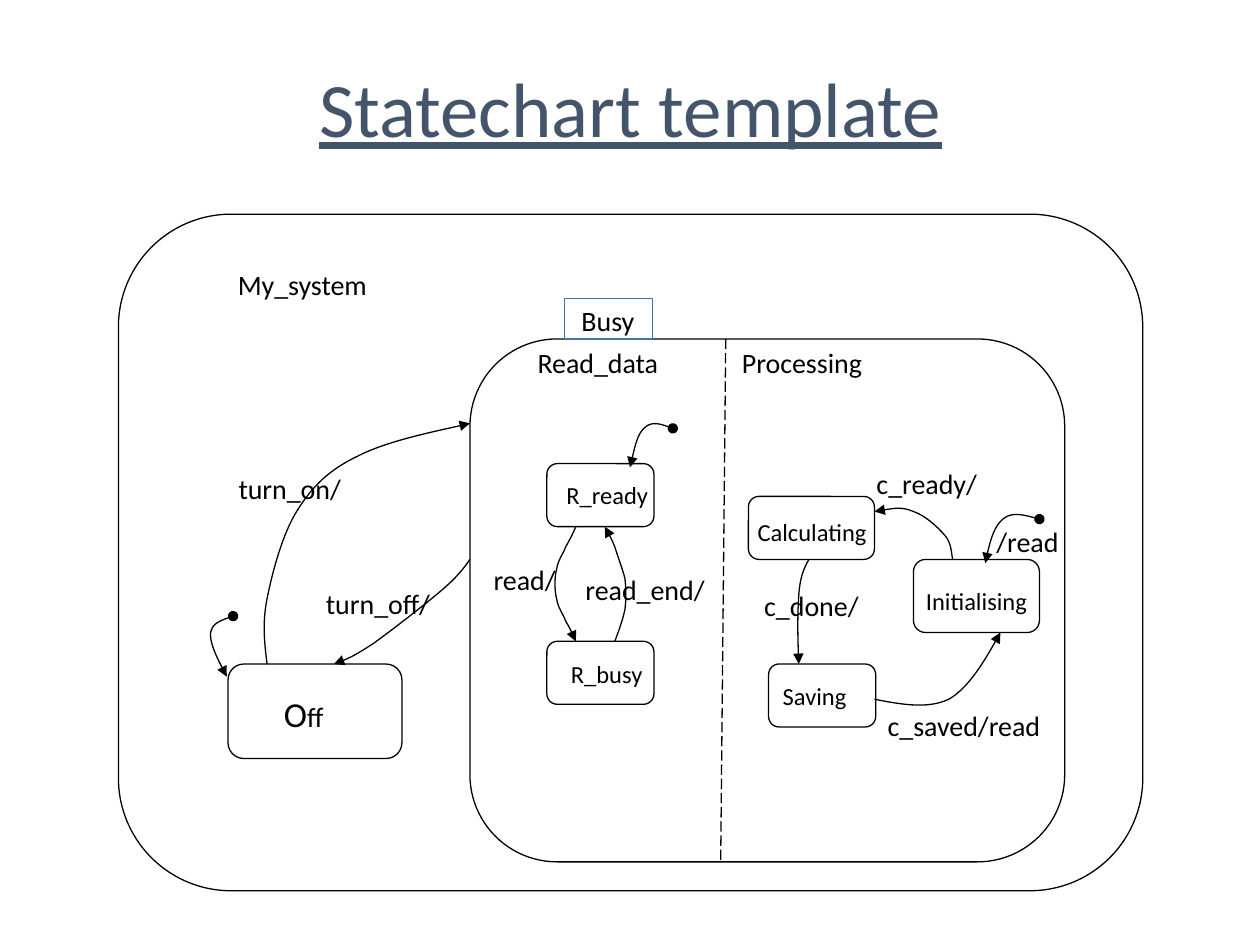
from dataclasses import dataclass

from lxml.etree import SubElement
from pptx import Presentation
from pptx.dml.color import RGBColor
from pptx.enum.dml import MSO_LINE
from pptx.enum.shapes import MSO_CONNECTOR, MSO_SHAPE
from pptx.enum.text import MSO_ANCHOR, MSO_AUTO_SIZE, PP_ALIGN
from pptx.oxml.ns import qn
from pptx.util import Inches, Pt

COLORS = {"ink": "000000", "title": "44546A", "tab": "43739E"}
FONT = "Calibri"


@dataclass
class State:
    left: float
    top: float
    width: float
    height: float


@dataclass
class Label:
    text: str
    left: float
    top: float
    width: float
    size: int = 16


@dataclass
class Transition:
    points: list[tuple[float, float]]
    initial: bool = False


STATES = [
    State(0.94, 1.7, 8.13, 5.37),
    State(1.81, 5.27, 1.38, 0.75),
    State(3.73, 2.69, 4.72, 4.15),
    State(5.94, 3.94, 1, 0.5),
    State(6.1, 5.27, 0.85, 0.5),
    State(4.34, 3.68, 0.85, 0.5),
    State(4.34, 5.09, 0.85, 0.5),
    State(7.25, 4.44, 1, 0.58),
]

LABELS = [
    Label("My_system", 1.75, 2.07, 1.3),
    Label("Busy", 4.49, 2.36, 0.67),
    Label("Read_data", 4.12, 2.69, 1.25),
    Label("Processing", 5.74, 2.69, 1.25),
    Label("R_ready", 4.36, 3.76, 0.92, 14),
    Label("R_busy", 4.4, 5.18, 0.83, 14),
    Label("Calculating", 5.87, 4.05, 1.15, 14),
    Label("Saving", 6.08, 5.35, 0.77, 14),
    Label("Initialising", 7.21, 4.6, 1.08, 14),
    Label("turn_on/", 1.77, 3.69, 1.06),
    Label("turn_off/", 2.46, 4.6, 1.08),
    Label("read/", 3.8, 4.41, 0.73),
    Label("read_end/", 4.54, 4.49, 1.16),
    Label("c_ready/", 6.82, 3.65, 1.07),
    Label("c_done/", 5.94, 4.62, 1),
    Label("c_saved/read", 6.89, 5.57, 1.52),
    Label("/read", 7.79, 4.11, 0.73),
]

TRANSITIONS = [
    Transition([(3.73, 4.44), (3.68, 4.51), (3.63, 4.58), (3.5, 4.69), (3.37, 4.8),
                (3.1, 5.01), (2.96, 5.11), (2.82, 5.2), (2.74, 5.24), (2.65, 5.27)]),
    Transition([(2.12, 5.27), (2.1, 5.11), (2.08, 4.95), (2.12, 4.75), (2.16, 4.55),
                (2.24, 4.24), (2.36, 4.05), (2.48, 3.86), (2.61, 3.73), (2.84, 3.62),
                (3.07, 3.5), (3.57, 3.4), (3.73, 3.36)]),
    Transition([(7.56, 4.44), (7.55, 4.38), (7.55, 4.31), (7.5, 4.25), (7.44, 4.18),
                (7.34, 4.09), (7.25, 4.06), (7.16, 4.02), (7.05, 4.04), (6.94, 4.06)]),
    Transition([(6.42, 4.44), (6.38, 4.51), (6.35, 4.58), (6.34, 4.72), (6.33, 4.86),
                (6.33, 5.07), (6.34, 5.27)]),
    Transition([(6.94, 5.55), (7.15, 5.59), (7.36, 5.63), (7.53, 5.55), (7.69, 5.46),
                (7.87, 5.15), (7.94, 5.02)]),
    Transition([(4.57, 4.18), (4.55, 4.23), (4.52, 4.29), (4.49, 4.34), (4.47, 4.4),
                (4.43, 4.44), (4.42, 4.51), (4.4, 4.58), (4.4, 4.69), (4.42, 4.76),
                (4.43, 4.83), (4.47, 4.87), (4.49, 4.93), (4.52, 4.98), (4.55, 5.04),
                (4.57, 5.09)]),
    Transition([(4.88, 5.09), (4.91, 5.01), (4.94, 4.93), (4.96, 4.84), (4.97, 4.76),
                (4.97, 4.68), (4.96, 4.59), (4.94, 4.51), (4.9, 4.41), (4.88, 4.34),
                (4.85, 4.27), (4.83, 4.23), (4.8, 4.18)]),
    Transition([(5.34, 3.4), (5.26, 3.37), (5.17, 3.34), (5.11, 3.4), (5.06, 3.45),
                (5.03, 3.58), (5, 3.71)], True),
    Transition([(8.25, 4.12), (8.14, 4.09), (8.03, 4.06), (7.96, 4.12), (7.89, 4.18),
                (7.85, 4.32), (7.82, 4.47)], True),
    Transition([(1.85, 4.89), (1.76, 4.92), (1.68, 4.95), (1.67, 5.03), (1.67, 5.11),
                (1.73, 5.24), (1.8, 5.37)], True),
]


def outline(s, color: str = "ink", width: float = 0.75) -> None:
    s.line.color.rgb = RGBColor.from_string(COLORS[color])
    s.line.width = Pt(width)


def add_box(slide, kind, box: State, color: str = "ink", width: float = 0.75) -> None:
    s = slide.shapes.add_shape(kind, Inches(box.left), Inches(box.top),
                               Inches(box.width), Inches(box.height))
    s.shadow.inherit = False
    s.fill.background()
    outline(s, color, width)


def style_run(r, size: int, color: str = "ink") -> None:
    r.font.name = FONT
    r.font.size = Pt(size)
    r.font.color.rgb = RGBColor.from_string(COLORS[color])


def add_text(slide, label: Label, height: float, color: str = "ink"):
    s = slide.shapes.add_textbox(Inches(label.left), Inches(label.top),
                                 Inches(label.width), Inches(height))
    tf = s.text_frame
    tf.text = label.text
    tf.vertical_anchor = MSO_ANCHOR.MIDDLE
    tf.word_wrap = False
    p = tf.paragraphs[0]
    p.alignment = PP_ALIGN.CENTER
    style_run(p.runs[0], label.size, color)
    return tf


def add_label(slide, label: Label) -> None:
    tf = add_text(slide, label, 0.37 if label.size == 16 else 0.34)
    tf.auto_size = MSO_AUTO_SIZE.SHAPE_TO_FIT_TEXT


def add_transition(slide, transition: Transition) -> None:
    points = [(Inches(x), Inches(y)) for x, y in transition.points]
    builder = slide.shapes.build_freeform(*points[0])
    builder.add_line_segments(points[1:], close=False)
    s = builder.convert_to_shape()
    s.shadow.inherit = False
    s.fill.background()
    outline(s)
    outline_path = next(s._element.iter(qn("a:path")))
    segments = outline_path.findall(qn("a:lnTo"))
    for i in range(0, len(segments), 3):
        curve = SubElement(outline_path, qn("a:cubicBezTo"))
        for segment in segments[i:i + 3]:
            curve.append(segment[0])
            outline_path.remove(segment)
    ln = s.line._get_or_add_ln()
    if transition.initial:
        SubElement(ln, qn("a:headEnd"), type="oval")
    SubElement(ln, qn("a:tailEnd"), type="triangle")


prs = Presentation()
prs.slide_width, prs.slide_height = Inches(10), Inches(7.5)
slide = prs.slides.add_slide(prs.slide_layouts[6])

title = add_text(slide, Label("Statechart template", 1.98, 0.4, 6.05, 44), 0.99, "title")
title.word_wrap = True
title.paragraphs[0].line_spacing = 0.9
title.paragraphs[0].runs[0].font.underline = True

for state in STATES:
    add_box(slide, MSO_SHAPE.ROUNDED_RECTANGLE, state)
add_box(slide, MSO_SHAPE.RECTANGLE, State(4.48, 2.37, 0.7, 0.32), "tab", 1)

divider = slide.shapes.add_connector(MSO_CONNECTOR.STRAIGHT, Inches(5.76), Inches(2.69),
                                     Inches(5.72), Inches(6.84))
outline(divider)
divider.line.dash_style = MSO_LINE.LONG_DASH
SubElement(divider._element.spPr, qn("a:effectLst"))

for transition in TRANSITIONS:
    add_transition(slide, transition)
for label in LABELS:
    add_label(slide, label)

off = add_text(slide, Label("O", 1.91, 5.44, 1, 20), 0.44)
r = off.paragraphs[0].add_run()
r.text = "ff"
style_run(r, 16)

prs.save("out.pptx")
